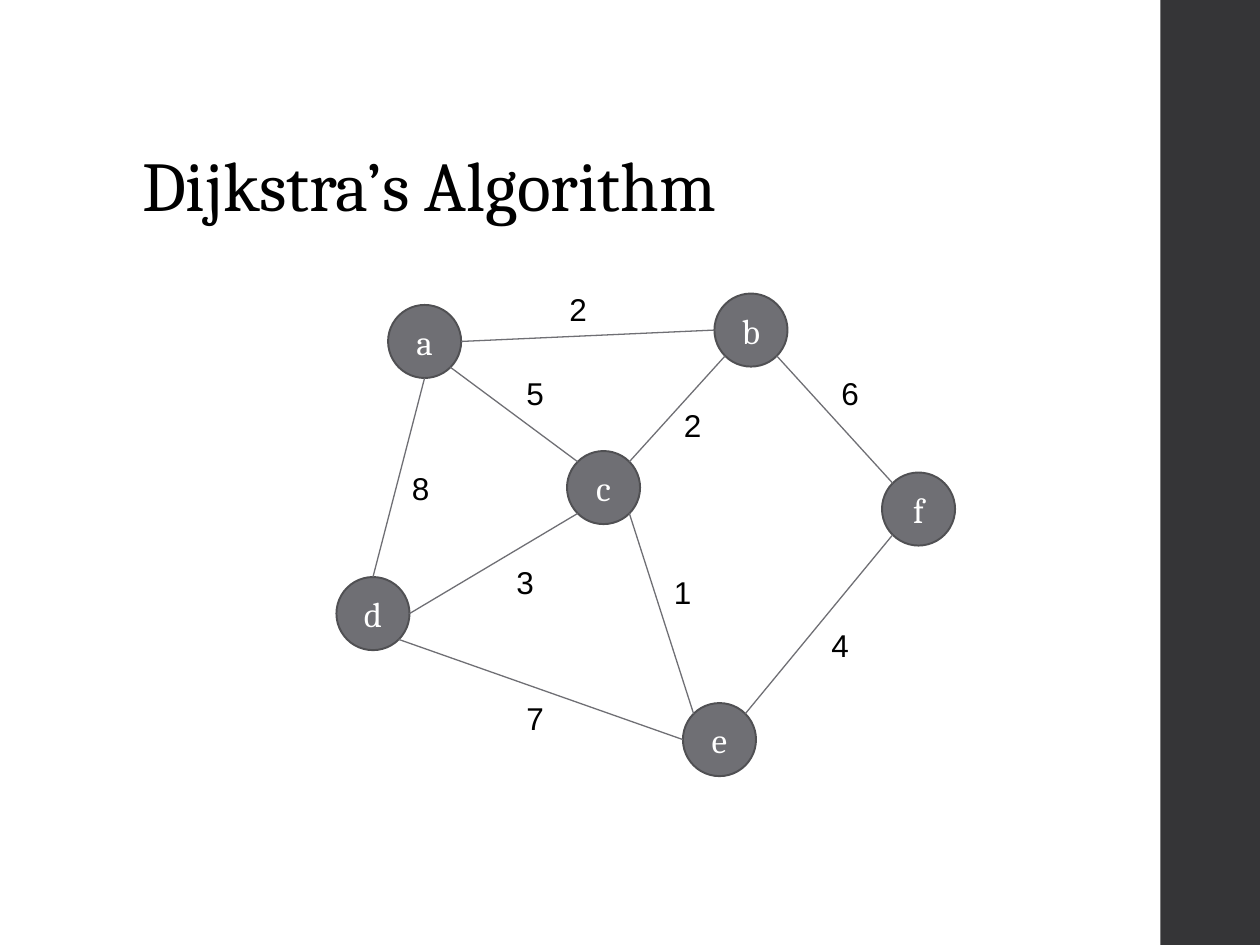
from math import cos, radians, sin

from lxml.etree import SubElement
from pptx import Presentation
from pptx.dml.color import RGBColor
from pptx.enum.shapes import MSO_CONNECTOR, MSO_SHAPE
from pptx.enum.text import MSO_ANCHOR, PP_ALIGN
from pptx.oxml.ns import qn
from pptx.util import Inches, Pt

TITLE = "Dijkstra’s Algorithm"

# Node name: left, top
NODES = {
    "a": (3.08, 2.42),
    "d": (2.67, 4.58),
    "c": (4.5, 3.58),
    "b": (5.67, 2.33),
    "f": (7, 3.75),
    "e": (5.42, 5.58),
}

# Start node and side, end node and side, weight, left and top of its label
EDGES = [
    ("a", "E", "b", "W", "2", (4.42, 2.25)),
    ("a", "SE", "c", "NW", "5", (4.08, 2.92)),
    ("b", "SW", "c", "NE", "2", (5.33, 3.17)),
    ("b", "SE", "f", "NW", "6", (6.58, 2.92)),
    ("f", "SW", "e", "NE", "4", (6.5, 4.92)),
    ("c", "SE", "e", "NW", "1", (5.25, 4.5)),
    ("a", "S", "d", "N", "8", (3.17, 3.67)),
    ("d", "E", "c", "SW", "3", (4, 4.42)),
    ("d", "SE", "e", "W", "7", (4.08, 5.5)),
]

THEME = {
    "bar": RGBColor.from_string("353537"),
    "node": RGBColor.from_string("6F6F74"),
    "rim": RGBColor.from_string("505053"),
    "ink": RGBColor.from_string("000000"),
    "light": RGBColor.from_string("FFFFFF"),
    "serif": "Cambria",
    "sans": "Arial",
    "title": 40,
    "name": 20,
    "weight": 18,
}

SIZE = 0.58
SIDES = ["E", "SE", "S", "SW", "W", "NW", "N", "NE"]


def write(shape, text, size, font, color, align=PP_ALIGN.LEFT,
          anchor=MSO_ANCHOR.TOP, space=1.0):
    frame = shape.text_frame
    frame.word_wrap = True
    frame.vertical_anchor = anchor
    para = frame.paragraphs[0]
    para.alignment = align
    para.line_spacing = space
    run = para.add_run()
    run.text = text
    run.font.size = Pt(size)
    run.font.name = font
    run.font.color.rgb = color


def label(slide, box, text, **style):
    write(slide.shapes.add_textbox(*map(Inches, box)), text, **style)


def solid(slide, kind, box, fill):
    shape = slide.shapes.add_shape(kind, *map(Inches, box))
    shape.shadow.inherit = False
    shape.fill.solid()
    shape.fill.fore_color.rgb = fill
    shape.line.fill.background()
    return shape


def rim_point(name, side):
    """Return the point on a node's circle that faces the compass side."""
    left, top = NODES[name]
    angle = radians(45 * SIDES.index(side))
    half = SIZE / 2
    return (Inches(left + half + half * cos(angle)),
            Inches(top + half + half * sin(angle)))


def add_node(slide, name, spot):
    disc = solid(slide, MSO_SHAPE.OVAL, (*spot, SIZE, SIZE), THEME["node"])
    disc.line.color.rgb = THEME["rim"]
    disc.line.width = Pt(1.11)
    write(disc, name, size=THEME["name"], font=THEME["serif"],
          color=THEME["light"], align=PP_ALIGN.CENTER,
          anchor=MSO_ANCHOR.MIDDLE)


def add_edge(slide, start, end):
    line = slide.shapes.add_connector(MSO_CONNECTOR.STRAIGHT, *start, *end)
    line.line.color.rgb = THEME["node"]
    line.line.width = Pt(0.75)
    SubElement(line._element.spPr, qn("a:effectLst"))


def main():
    deck = Presentation()
    deck.slide_width, deck.slide_height = Inches(10), Inches(7.5)
    slide = deck.slides.add_slide(deck.slide_layouts[6])

    solid(slide, MSO_SHAPE.RECTANGLE, (9.21, 0, 0.79, 7.5), THEME["bar"])
    label(slide, (1.03, 0.4, 7.95, 1.45), TITLE, size=THEME["title"],
          font=THEME["serif"], color=THEME["ink"],
          anchor=MSO_ANCHOR.BOTTOM, space=0.9)

    for name, spot in NODES.items():
        add_node(slide, name, spot)
    for tail, out, head, into, weight, spot in EDGES:
        add_edge(slide, rim_point(tail, out), rim_point(head, into))
        label(slide, (*spot, SIZE, 0.4), weight, size=THEME["weight"],
              font=THEME["sans"], color=THEME["ink"])

    deck.save("out.pptx")


if __name__ == "__main__":
    main()
